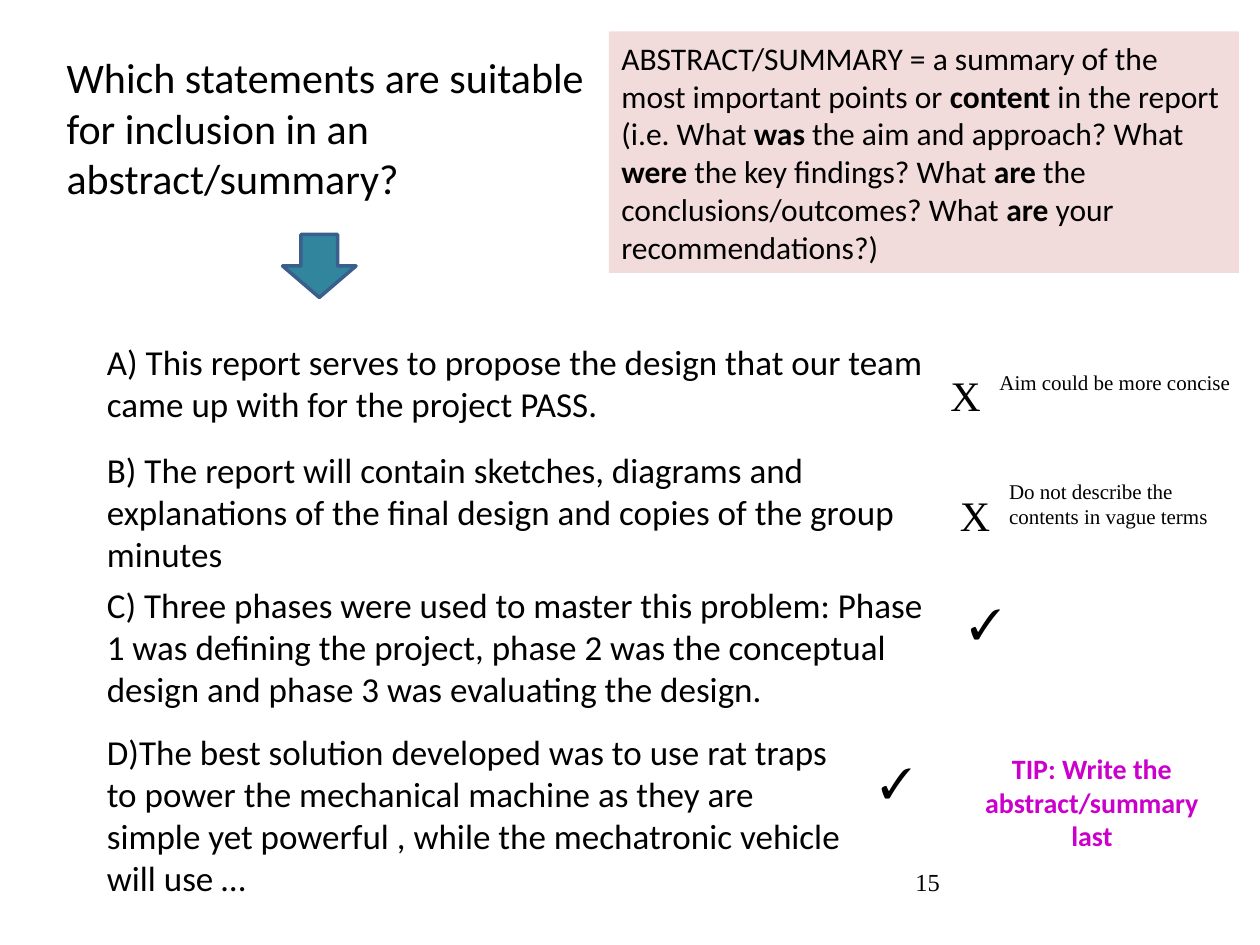
"""Build the slide on choosing statements for an abstract or summary."""
from pptx import Presentation
from pptx.dml.color import RGBColor
from pptx.enum.shapes import MSO_SHAPE
from pptx.enum.text import PP_ALIGN
from pptx.util import Pt

COLORS = {
    "text": "000000",
    "panel": "F2DCDB",
    "arrow": "31859C",
    "arrow_line": "3A5F8C",
    "tip": "CC00CC",
}
SANS, SERIF = "Calibri", "Times New Roman"


def rgb(name):
    return RGBColor.from_string(COLORS[name])


def add_text(box, text, size, font=SERIF, bold=False, color="text"):
    sp = s.shapes.add_textbox(*map(Pt, box))
    tf = sp.text_frame
    tf.word_wrap = True
    p = tf.paragraphs[0]
    p.text = text
    p.font.size = Pt(size)
    p.font.name = font
    p.font.bold = bold
    p.font.color.rgb = rgb(color)
    return p


prs = Presentation()
prs.slide_width, prs.slide_height = Pt(720), Pt(540)
s = prs.slides.add_slide(prs.slide_layouts[6])

sp = s.shapes.add_shape(MSO_SHAPE.RECTANGLE, Pt(348), Pt(18), Pt(360), Pt(138))
sp.shadow.inherit = False
sp.fill.solid()
sp.fill.fore_color.rgb = rgb("panel")
sp.line.fill.background()
tf = sp.text_frame
tf.word_wrap = True
p = tf.paragraphs[0]
p.alignment = PP_ALIGN.LEFT
definition = [
    ("ABSTRACT/SUMMARY = a summary of the most important points or ", False),
    ("content", True),
    (" in the report (i.e. What ", False),
    ("was", True),
    (" the aim and approach? What ", False),
    ("were ", True),
    ("the key findings? What ", False),
    ("are ", True),
    ("the conclusions/outcomes? What ", False),
    ("are", True),
    (" your recommendations?)", False),
]
for text, bold in definition:
    r = p.add_run()
    r.text = text
    r.font.size = Pt(18)
    r.font.name = SANS
    r.font.bold = bold
    r.font.color.rgb = rgb("text")

add_text((31, 26, 318, 51),
         "Which statements are suitable for inclusion in an abstract/summary?", 24, SANS)

sp = s.shapes.add_shape(MSO_SHAPE.DOWN_ARROW, Pt(161.5), Pt(134), Pt(42), Pt(36))
sp.shadow.inherit = False
sp.fill.solid()
sp.fill.fore_color.rgb = rgb("arrow")
sp.line.color.rgb = rgb("arrow_line")
sp.line.width = Pt(2)

statements = [
    (191, 486, 55, "A) This report serves to propose the design that our team came up with "
                   "for the project PASS."),
    (253, 486, 80, "B) The report will contain sketches, diagrams and explanations of the "
                   "final design and copies of the group minutes"),
    (330, 482, 80, "C) Three phases were used to master this problem: Phase 1 was defining "
                   "the project, phase 2 was the conceptual design and phase 3 was "
                   "evaluating the design."),
    (414, 438, 104, "D)The best solution developed was to use rat traps to power the "
                    "mechanical machine as they are simple yet powerful , while the "
                    "mechatronic vehicle will use …"),
]
for top, width, height, text in statements:
    add_text((54, top, width, height), text, 20, SANS)

marks = [
    (536, 207.5, 29, "X", False),
    (541.5, 276, 29, "X", False),
    (547, 338, 37, "✓", True),
    (496, 428.5, 37, "✓", True),
]
for left, top, height, mark, bold in marks:
    add_text((left, top, 28, height), mark, 24, bold=bold)

comments = [
    (564, 207.5, "Aim could be more concise"),
    (569.5, 270, "Do not describe the contents in vague terms"),
]
for left, top, text in comments:
    add_text((left, top, 720 - left, 37), text, 12)

p = add_text((552, 426, 144, 85), "TIP: Write the abstract/summary last", 16, SANS, True, "tip")
p.alignment = PP_ALIGN.CENTER

add_text((516, 492, 150, 36), "15", 14)

prs.save("out.pptx")
